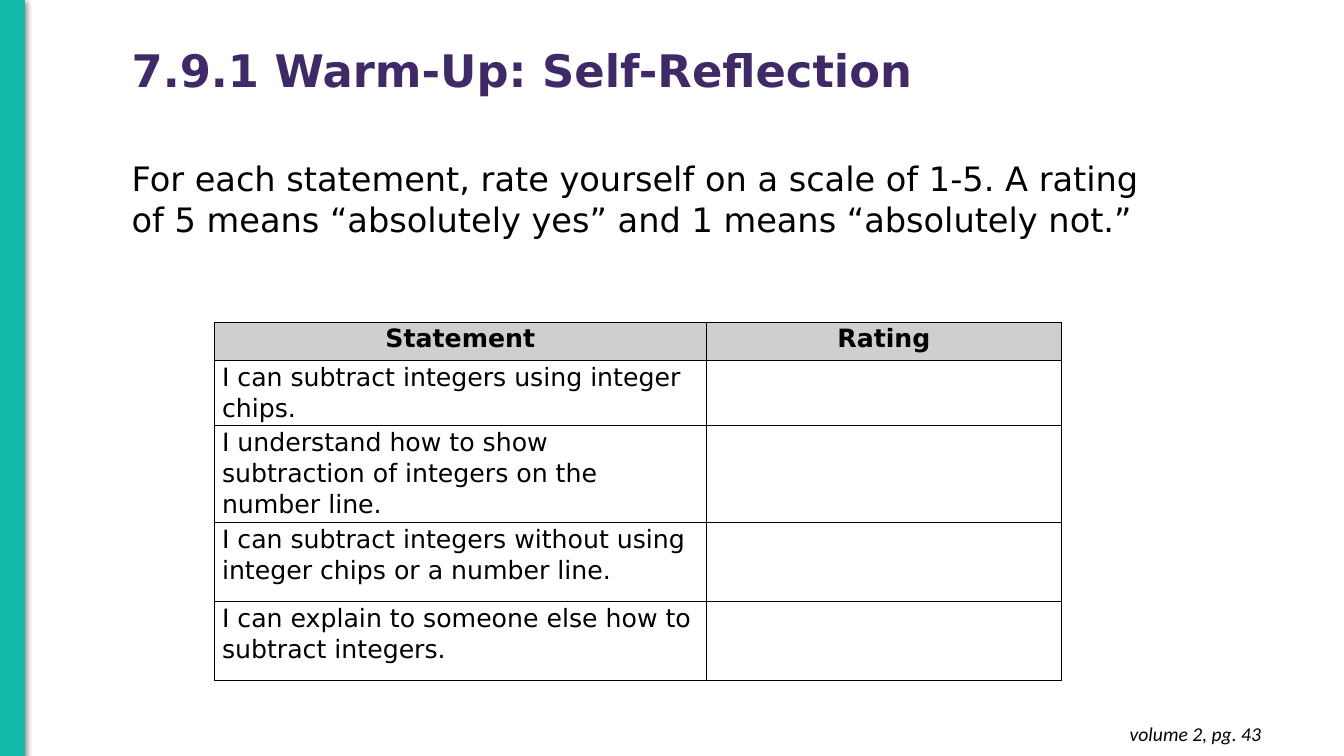
import pptx
import pptx.util
import pptx.oxml
import pptx.dml.color
import pptx.enum.text
import pptx.enum.shapes

Pt = pptx.util.Pt
Align = pptx.enum.text.PP_ALIGN
Anchor = pptx.enum.text.MSO_ANCHOR

HUES = {"teal": "14BAAA", "plum": "3F2A67", "black": "000000", "gray": "D0CECE"}
SANS = "DejaVu Sans"
NS = 'xmlns:a="http://schemas.openxmlformats.org/drawingml/2006/main"'

TEXTS = [
    {"text": "7.9.1 Warm-Up: Self-Reflection", "box": (87, 0, 631.5, 104.4),
     "size": 32, "hue": "plum", "bold": True, "lead": 0.9, "anchor": Anchor.MIDDLE},
    {"text": "For each statement, rate yourself on a scale of 1-5. A rating of 5 means "
             "“absolutely yes” and 1 means “absolutely not.”",
     "box": (87, 109.4, 737.3, 94.3), "size": 24},
    {"text": "volume 2, pg. 43", "box": (700.6, 508.3, 207.4, 31.7), "size": 14,
     "font": "Calibri", "italic": True, "align": Align.RIGHT, "pad": 7.2},
]
ROWS = [
    ("Statement", "Rating"),
    ("I can subtract integers using integer chips.", ""),
    ("I understand how to show subtraction of integers on the number line.", ""),
    ("I can subtract integers without using integer chips or a number line.", ""),
    ("I can explain to someone else how to subtract integers.", ""),
]
WIDTHS = (351.2, 254)
HEIGHTS = (27.4, 46.4, 69.1, 56.4, 56.4)
LEFT, TOP = 153.2, 230.3


def rgb(name):
    """Return the named colour."""
    return pptx.dml.color.RGBColor.from_string(HUES[name])


def write(frame, text, size, hue="black", font=SANS, bold=False, italic=False,
          align=Align.LEFT, lead=None):
    """Put one styled paragraph in a text frame."""
    frame.text = text
    para = frame.paragraphs[0]
    para.alignment = align
    para.line_spacing = lead
    face = para.runs[0].font if para.runs else para.font
    face.name, face.size = font, Pt(size)
    face.bold, face.italic = bold, italic
    face.color.rgb = rgb(hue)


def add_bar(slide):
    """Draw the shadowed bar at the left edge."""
    bar = slide.shapes.add_shape(pptx.enum.shapes.MSO_SHAPE.RECTANGLE,
                                 0, 0, Pt(17.6), Pt(540.5))
    bar.fill.solid()
    bar.fill.fore_color.rgb = rgb("teal")
    bar.line.color.rgb = rgb("teal")
    bar.line.width = Pt(0.75)
    bar.shadow.inherit = False
    glow = pptx.oxml.parse_xml(
        f'<a:outerShdw {NS} blurRad="{Pt(4.5)}" dist="{Pt(1.5)}" dir="5400000" '
        f'rotWithShape="0"><a:srgbClr val="{HUES["black"]}">'
        '<a:alpha val="50000"/></a:srgbClr></a:outerShdw>')
    bar.element.spPr.find(pptx.oxml.ns.qn("a:effectLst")).append(glow)


def add_text(slide, text, box, anchor=Anchor.TOP, pad=3.6, **style):
    """Place one text box."""
    frame = slide.shapes.add_textbox(*map(Pt, box)).text_frame
    frame.word_wrap = True
    frame.vertical_anchor = anchor
    frame.margin_top = frame.margin_bottom = Pt(pad)
    write(frame, text, **style)


def frame_cell(cell):
    """Rule all four sides of a cell."""
    props = cell._tc.get_or_add_tcPr()
    for spot, side in enumerate("LRTB"):
        props.insert(spot, pptx.oxml.parse_xml(
            f'<a:ln{side} {NS} w="{Pt(1)}"><a:solidFill>'
            f'<a:srgbClr val="{HUES["black"]}"/></a:solidFill></a:ln{side}>'))


def add_grid(slide):
    """Build the rating table."""
    grid = slide.shapes.add_table(len(ROWS), len(WIDTHS), Pt(LEFT), Pt(TOP),
                                  Pt(sum(WIDTHS)), Pt(sum(HEIGHTS))).table
    grid.horz_banding = False
    for col, width in zip(grid.columns, WIDTHS):
        col.width = Pt(width)
    for r, (row, height) in enumerate(zip(ROWS, HEIGHTS)):
        grid.rows[r].height = Pt(height)
        head = r == 0
        for c, text in enumerate(row):
            cell = grid.cell(r, c)
            cell.margin_left = cell.margin_right = Pt(5.4)
            cell.margin_top = cell.margin_bottom = 0
            if head:
                cell.fill.solid()
                cell.fill.fore_color.rgb = rgb("gray")
            else:
                cell.fill.background()
            frame_cell(cell)
            write(cell.text_frame, text, 18, bold=head, lead=1.07,
                  align=Align.CENTER if head else Align.LEFT)


def main():
    """Build and save the slide."""
    deck = pptx.Presentation()
    deck.slide_width, deck.slide_height = Pt(960), Pt(540)
    slide = deck.slides.add_slide(deck.slide_layouts[6])
    add_bar(slide)
    for item in TEXTS:
        add_text(slide, **item)
    add_grid(slide)
    deck.save("out.pptx")


if __name__ == "__main__":
    main()
